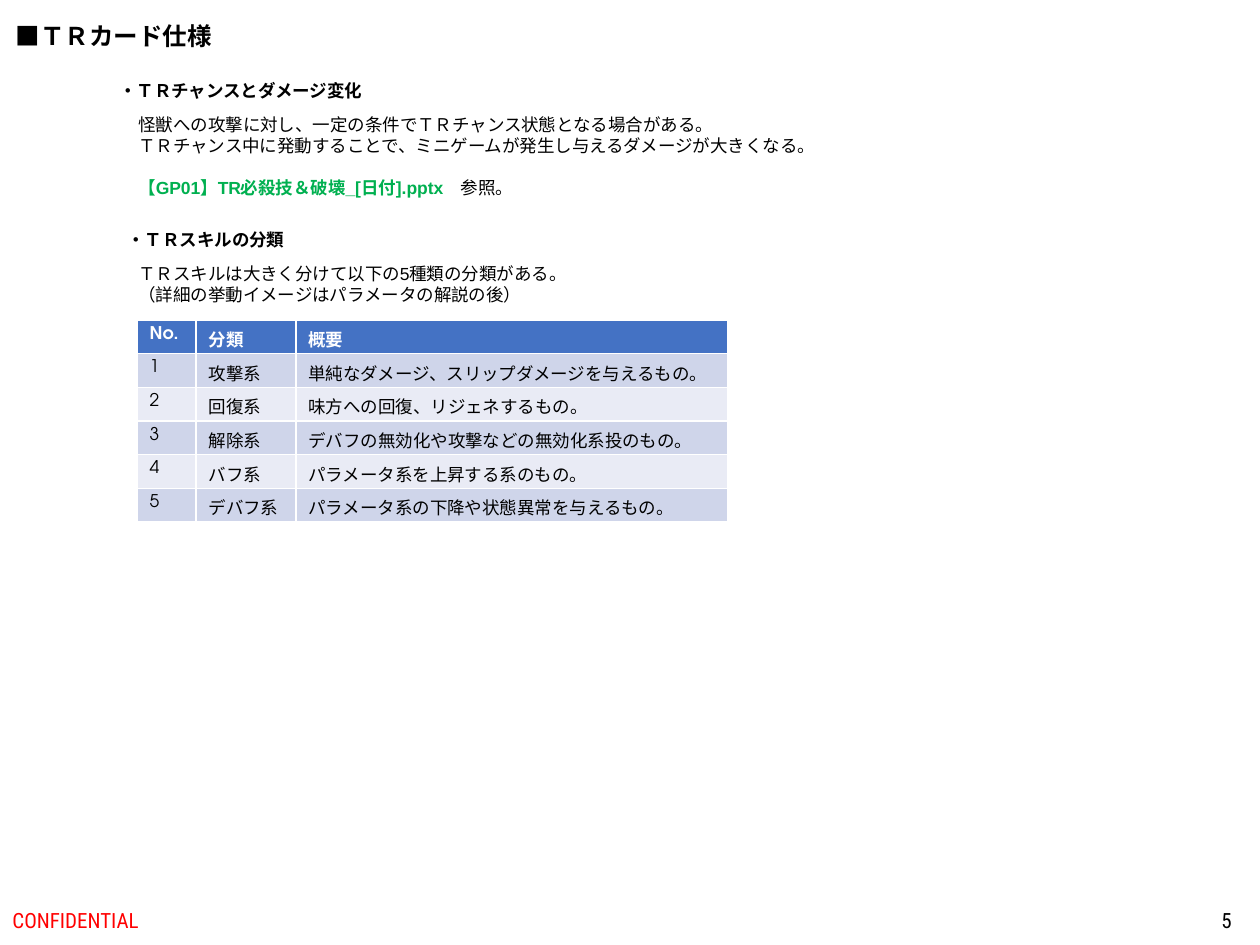
from pptx import Presentation
from pptx.dml.color import RGBColor
from pptx.enum.text import MSO_ANCHOR, PP_ALIGN
from pptx.util import Emu, Pt

PX = 914400 // 126
TOP, MIDDLE = MSO_ANCHOR.TOP, MSO_ANCHOR.MIDDLE
LEFT, RIGHT = PP_ALIGN.LEFT, PP_ALIGN.RIGHT
TITLE_ONLY = 5

BODY_FONT, HEADING_FONT, FOOTER_FONT = "Arial", "TeX Gyre Adventor", "Roboto Condensed"
BLACK, WHITE, RED, GREEN = "000000", "FFFFFF", "FF0000", "00B050"
HEADER_FILL = "4472C4"
BAND_FILLS = ["CFD5EA", "E9EBF5"]
LINE_GAP = 12  # points, one line of body text

TITLE = "■ＴＲカード仕様"
TITLE_BOX = (3, 15, 223, 43)

HEADINGS = [
    ("・ＴＲチャンスとダメージ変化", (107, 74, 273, 34)),
    ("・ＴＲスキルの分類", (115, 223, 184, 34)),
]
# Each line is a list of runs: text, colour, bold
BODIES = [
    ([
        [("怪獣への攻撃に対し、一定の条件でＴＲチャンス状態となる場合がある。", BLACK, False)],
        [("ＴＲチャンス中に発動することで、ミニゲームが発生し与えるダメージが大きくなる。", BLACK, False)],
        [("【GP01】TR必殺技＆破壊_[日付].pptx", GREEN, True), ("　参照。", BLACK, False)],
    ], (126, 108, 714, 97)),
    ([
        [("ＴＲスキルは大きく分けて以下の5種類の分類がある。", BLACK, False)],
        [("（詳細の挙動イメージはパラメータの解説の後）", BLACK, False)],
    ], (126, 257, 461, 55)),
]
FOOTERS = [
    ("CONFIDENTIAL", RED, LEFT, (0, 895, 426, 50)),
    ("5", BLACK, RIGHT, (960, 895, 284, 50)),
]

TABLE_LEFT, TABLE_TOP, TABLE_HEIGHT = 137, 320, 202
COLUMN_WIDTHS = [59, 100, 432]
TABLE_ROWS = [
    ("No.", "分類", "概要"),
    ("1", "攻撃系", "単純なダメージ、スリップダメージを与えるもの。"),
    ("2", "回復系", "味方への回復、リジェネするもの。"),
    ("3", "解除系", "デバフの無効化や攻撃などの無効化系投のもの。"),
    ("4", "バフ系", "パラメータ系を上昇する系のもの。"),
    ("5", "デバフ系", "パラメータ系の下降や状態異常を与えるもの。"),
]


def px(*lengths):
    return [Emu(length * PX) for length in lengths]


def rgb(value):
    return RGBColor.from_string(value)


def add_run(paragraph, text, font_name, size, color, bold=False):
    run = paragraph.add_run()
    run.text = text
    run.font.name = font_name
    run.font.size = Pt(size)
    run.font.bold = bold
    run.font.color.rgb = rgb(color)


def add_text_box(slide, box, wrap=False, anchor=TOP):
    frame = slide.shapes.add_textbox(*px(*box)).text_frame
    frame.word_wrap = wrap
    frame.vertical_anchor = anchor
    return frame


def add_title(slide):
    title = slide.shapes.title
    title.left, title.top, title.width, title.height = px(*TITLE_BOX)
    frame = title.text_frame
    frame.word_wrap = False
    frame.vertical_anchor = TOP
    paragraph = frame.paragraphs[0]
    paragraph.alignment = LEFT
    add_run(paragraph, TITLE, BODY_FONT, 14, BLACK, True)


def add_body(slide, lines, box):
    frame = add_text_box(slide, box)
    for index, runs in enumerate(lines):
        paragraph = frame.add_paragraph() if index else frame.paragraphs[0]
        if index == 2:
            paragraph.space_before = Pt(LINE_GAP)
        for text, color, bold in runs:
            add_run(paragraph, text, BODY_FONT, 10, color, bold)


def add_skill_table(slide):
    box = px(TABLE_LEFT, TABLE_TOP, sum(COLUMN_WIDTHS), TABLE_HEIGHT)
    table = slide.shapes.add_table(len(TABLE_ROWS), len(COLUMN_WIDTHS), *box).table
    for column, width in zip(table.columns, px(*COLUMN_WIDTHS)):
        column.width = width
    for row, texts in enumerate(TABLE_ROWS):
        is_header = row == 0
        fill = HEADER_FILL if is_header else BAND_FILLS[(row - 1) % 2]
        for column, text in enumerate(texts):
            cell = table.cell(row, column)
            cell.fill.solid()
            cell.fill.fore_color.rgb = rgb(fill)
            color = WHITE if is_header else BLACK
            add_run(cell.text_frame.paragraphs[0], text, HEADING_FONT, 10, color, is_header)


def main():
    presentation = Presentation()
    presentation.slide_width, presentation.slide_height = px(1260, 945)
    slide = presentation.slides.add_slide(presentation.slide_layouts[TITLE_ONLY])
    add_title(slide)
    for text, color, alignment, box in FOOTERS:
        paragraph = add_text_box(slide, box, True, MIDDLE).paragraphs[0]
        paragraph.alignment = alignment
        add_run(paragraph, text, FOOTER_FONT, 12, color)
    for (heading, heading_box), (lines, body_box) in zip(HEADINGS, BODIES):
        paragraph = add_text_box(slide, heading_box).paragraphs[0]
        add_run(paragraph, heading, HEADING_FONT, 10, BLACK, True)
        add_body(slide, lines, body_box)
    add_skill_table(slide)
    presentation.save("out.pptx")


if __name__ == "__main__":
    main()
